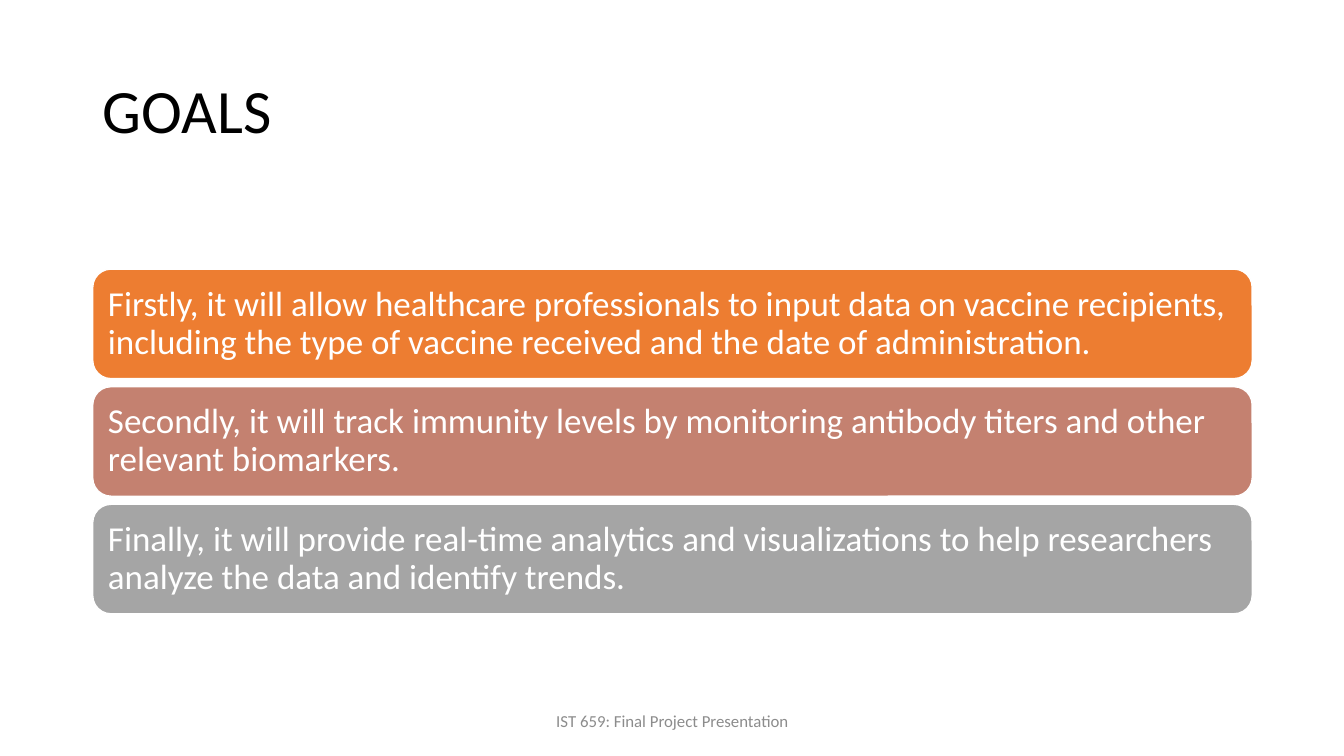
from dataclasses import dataclass

from pptx import Presentation
from pptx.dml.color import RGBColor as Rgb
from pptx.enum.shapes import MSO_SHAPE as Shape
from pptx.enum.text import MSO_ANCHOR as Anchor, PP_ALIGN as Align
from pptx.util import Inches, Pt


@dataclass(frozen=True)
class Theme:
    font: str = "Calibri"
    ink: str = "000000"
    paper: str = "FFFFFF"
    muted: str = "8C8C8C"
    goal_fills: tuple = ("ED7D31", "C48170", "A5A5A5")
    title_size: int = 44
    goal_size: int = 25
    footer_size: int = 12


@dataclass(frozen=True)
class Box:
    left: float
    top: float
    width: float
    height: float

    def row(self, index, count, gap):
        height = (self.height - gap * (count - 1)) / count
        return Box(self.left, self.top + index * (height + gap), self.width, height)

    def emu(self):
        return [Inches(side) for side in (self.left, self.top, self.width, self.height)]


THEME = Theme()
WIDTH, HEIGHT = 13.33, 7.5
MARGIN = 0.92
CONTENT_WIDTH = 11.5
GOAL_GAP = 0.08
GOALS = (
    "Firstly, it will allow healthcare professionals to input data on vaccine recipients, "
    "including the type of vaccine received and the date of administration.",
    "Secondly, it will track immunity levels by monitoring antibody titers and other "
    "relevant biomarkers.",
    "Finally, it will provide real-time analytics and visualizations to help researchers "
    "analyze the data and identify trends.",
)


def write(frame, words, size, color, align=Align.LEFT, spacing=1.0, inset=(0.1, 0.05)):
    frame.word_wrap = True
    frame.vertical_anchor = Anchor.MIDDLE
    frame.margin_left = frame.margin_right = Inches(inset[0])
    frame.margin_top = frame.margin_bottom = Inches(inset[1])
    frame.text = words
    paragraph = frame.paragraphs[0]
    paragraph.alignment = align
    paragraph.line_spacing = spacing
    font = paragraph.runs[0].font
    font.name = THEME.font
    font.size = Pt(size)
    font.color.rgb = Rgb.from_string(color)


def add_title(slide, box):
    title = slide.shapes.add_textbox(*box.emu())
    write(title.text_frame, "GOALS", THEME.title_size, THEME.ink, spacing=0.9)


def add_goals(slide, box):
    for index, (goal, fill) in enumerate(zip(GOALS, THEME.goal_fills)):
        row = box.row(index, len(GOALS), GOAL_GAP)
        card = slide.shapes.add_shape(Shape.ROUNDED_RECTANGLE, *row.emu())
        card.shadow.inherit = False
        card.fill.solid()
        card.fill.fore_color.rgb = Rgb.from_string(fill)
        card.line.color.rgb = Rgb.from_string(THEME.paper)
        card.line.width = Pt(1)
        write(card.text_frame, goal, THEME.goal_size, THEME.paper,
              spacing=0.9, inset=(0.1, 0.1))


def add_footer(slide, box):
    footer = slide.shapes.add_textbox(*box.emu())
    write(footer.text_frame, "IST 659: Final Project Presentation",
          THEME.footer_size, THEME.muted, align=Align.CENTER)


def main():
    deck = Presentation()
    deck.slide_width, deck.slide_height = Inches(WIDTH), Inches(HEIGHT)
    slide = deck.slides.add_slide(deck.slide_layouts[6])
    add_title(slide, Box(MARGIN, 0.4, CONTENT_WIDTH, 1.45))
    add_goals(slide, Box(MARGIN, 2.67, CONTENT_WIDTH, 3.42))
    add_footer(slide, Box(4.42, 6.95, 4.5, 0.4))
    deck.save("out.pptx")


if __name__ == "__main__":
    main()
